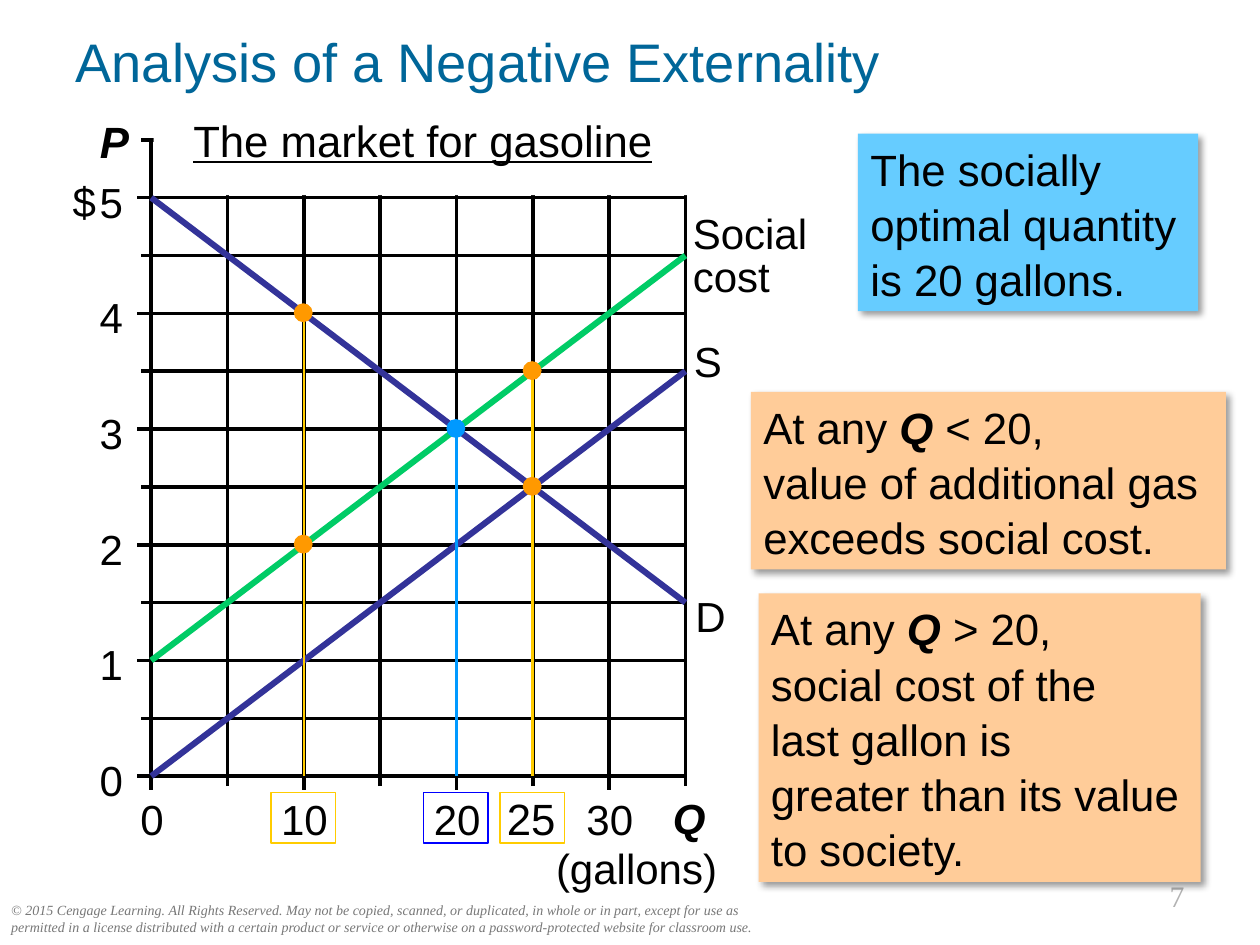
from pptx import Presentation
from pptx.dml.color import RGBColor
from pptx.enum.shapes import MSO_CONNECTOR, MSO_SHAPE
from pptx.enum.text import MSO_ANCHOR, MSO_AUTO_SIZE, PP_ALIGN
from pptx.oxml import parse_xml
from pptx.oxml.ns import nsdecls
from pptx.util import Inches, Pt

LEFT, CENTER, RIGHT = PP_ALIGN.LEFT, PP_ALIGN.CENTER, PP_ALIGN.RIGHT
TOP, MIDDLE = MSO_ANCHOR.TOP, MSO_ANCHOR.MIDDLE
RECT, OVAL = MSO_SHAPE.RECTANGLE, MSO_SHAPE.OVAL
STRAIGHT = MSO_CONNECTOR.STRAIGHT
NO_FIT = MSO_AUTO_SIZE.NONE

COLORS = {
    "black": "000000", "white": "FFFFFF", "title": "006699",
    "footer": "777777", "number": "B2B2B2", "curve": "333399",
    "social": "00CC66", "sky": "66CCFF", "peach": "FFCC99",
    "blue": "0099FF", "frame": "0000FF", "gold": "FFCC00", "orange": "FF9900",
}
SHADOW = (
    f'<a:effectLst {nsdecls("a")}><a:outerShdw blurRad="50800" dist="38100" '
    'dir="2700000" algn="tl" rotWithShape="0"><a:srgbClr val="000000">'
    '<a:alpha val="40000"/></a:srgbClr></a:outerShdw></a:effectLst>'
)
X0, Y0, X_END, Y_END = 1.2, 6.16, 5.44, 1.11
Q_MAX, P_MAX = 35, 5.5


def x_at(q):
    return X0 + (X_END - X0) * q / Q_MAX


def y_at(price):
    return Y0 - (Y0 - Y_END) * price / P_MAX


class SlideBuilder:
    font = "Arial"

    def __init__(self, prs):
        self.s = prs.slides.add_slide(prs.slide_layouts[5])

    def color(self, name):
        return RGBColor.from_string(COLORS[name])

    def fill_text(self, tf, paras, size=24, color="black", align=LEFT,
                  anchor=TOP, spacing=None, font=None, wrap=True, inset=None,
                  italic=None, underline=None):
        tf.word_wrap = wrap
        tf.auto_size = NO_FIT
        tf.vertical_anchor = anchor
        if inset is not None:
            tf.margin_left = tf.margin_right = Inches(inset)
            tf.margin_top = tf.margin_bottom = Inches(inset)
        for i, runs in enumerate(paras):
            p = tf.add_paragraph() if i else tf.paragraphs[0]
            p.alignment = align
            if spacing:
                p.line_spacing = spacing
            p.font.name = font or self.font
            p.font.size = Pt(size)
            p.font.color.rgb = self.color(color)
            p.font.italic = italic
            p.font.underline = underline
            for item in runs:
                text, strong = item if isinstance(item, tuple) else (item, False)
                for j, piece in enumerate(text.split("\n")):
                    if j:
                        p.add_line_break()
                    if piece:
                        r = p.add_run()
                        r.text = piece
                        if strong:
                            r.font.bold = r.font.italic = True

    def title(self, text, box):
        sp = self.s.shapes.title
        sp.left, sp.top, sp.width, sp.height = map(Inches, box)
        self.fill_text(sp.text_frame, [[text]], 31, "title", anchor=MIDDLE)

    def text(self, box, *paras, **style):
        sp = self.s.shapes.add_textbox(*map(Inches, box))
        self.fill_text(sp.text_frame, paras, **style)

    def shape(self, kind, box, fill=None, line=None, width=0.75):
        sp = self.s.shapes.add_shape(kind, *map(Inches, box))
        sp.shadow.inherit = False
        if fill:
            sp.fill.solid()
            sp.fill.fore_color.rgb = self.color(fill)
        else:
            sp.fill.background()
        if line:
            sp.line.color.rgb = self.color(line)
            sp.line.width = Pt(width)
        else:
            sp.line.fill.background()
        return sp

    def note(self, box, fill, *paras):
        sp = self.shape(RECT, box, fill)
        pr = sp._element.spPr
        pr.remove(pr.effectLst)
        pr.append(parse_xml(SHADOW))
        self.fill_text(sp.text_frame, paras, 25, spacing=1.05)

    def line(self, x1, y1, x2, y2, color="black", width=2):
        c = self.s.shapes.add_connector(STRAIGHT, *map(Inches, (x1, y1, x2, y2)))
        c.line.color.rgb = self.color(color)
        c.line.width = Pt(width)
        c._element.spPr.append(parse_xml(f'<a:effectLst {nsdecls("a")}/>'))

    def curve(self, start, end, color):
        self.line(X0, y_at(start), X_END, y_at(end), color, 3.5)

    def marker(self, q, prices, line, dot, frame):
        x = x_at(q)
        self.line(x, Y0, x, y_at(max(prices)), line, 1.5)
        for price in prices:
            self.shape(OVAL, (x - 0.08, y_at(price) - 0.08, 0.15, 0.15), dot)
        self.shape(RECT, (x - 0.26, 6.29, 0.51, 0.4), line=frame)


def draw_axes(b):
    prices = [n / 2 for n in range(12)]
    quantities = range(0, Q_MAX + 1, 5)
    for price in prices[1:]:
        b.line(X0, y_at(price), X_END, y_at(price), width=0)
    for q in quantities[1:]:
        b.line(x_at(q), Y_END, x_at(q), Y0, width=0)
    b.shape(RECT, (X0, Y_END, X_END - X0, Y0 - Y_END), line="black", width=1)
    b.line(X0, Y_END, X0, Y0)
    b.line(X0, Y0, X_END, Y0)
    for price in prices:
        tick = 0.11 if price % 1 == 0 else 0.08
        b.line(X0 - tick, y_at(price), X0, y_at(price))
    for q in quantities:
        tick = 0.11 if q % 10 == 0 else 0.08
        b.line(x_at(q), Y0 + tick, x_at(q), Y0)
    for price in range(6):
        b.text((0.79, y_at(price) - 0.17, 0.19, 0.4), [str(price)],
               wrap=False, inset=0)
    for q in range(0, 31, 10):
        width = 0.19 * len(str(q))
        b.text((x_at(q) + 0.01 - width / 2, 6.3, width, 0.4), [str(q)],
               wrap=False, inset=0)
    b.text((4.15, 6.24, 1.64, 0.92), [("Q \n", True), "(gallons)"], align=RIGHT)
    b.text((0.65, 0.86, 0.46, 0.52), [("P ", True)], size=25, align=RIGHT)
    b.text((0.46, 1.34, 0.4, 0.5), ["$"], align=RIGHT)


def main():
    prs = Presentation()
    prs.slide_width, prs.slide_height = Inches(10), Inches(7.5)
    b = SlideBuilder(prs)
    b.title("Analysis of a Negative Externality", (0.5, 0.13, 9, 0.71))
    b.text((-0.01, 7.11, 6.18, 0.37),
           ["© 2015 Cengage Learning. All Rights Reserved. May not be copied, "
            "scanned, or duplicated, in whole or in part, except for use as "
            "permitted in a license distributed with a certain product or "
            "service or otherwise on a password-protected website for "
            "classroom use."],
           size=8, color="footer", font="Times New Roman", italic=True)
    b.text((8.25, 6.92, 1.25, 0.39), ["7"], size=17, color="number",
           align=RIGHT, font="Times New Roman")

    draw_axes(b)
    heading = b.shape(RECT, (1.22, 0.85, 4.27, 0.7), "white")
    b.fill_text(heading.text_frame, [["The market for gasoline"]], 25,
                align=CENTER, underline=True)

    b.curve(5, 1.5, "curve")
    b.curve(1, 4.5, "social")
    b.curve(0, 3.5, "curve")
    b.text((5.42, 4.64, 0.45, 0.5), ["D"])
    b.text((5.41, 2.61, 0.43, 0.5), ["S"])
    b.text((5.4, 1.66, 1.21, 0.8), ["Social \ncost"], spacing=0.85)

    b.note((6.81, 1.06, 2.7, 1.41), "sky",
           ["The socially optimal quantity is 20 gallons."])
    b.marker(20, [3], "blue", "blue", "frame")
    b.note((5.96, 3.11, 3.77, 1.41), "peach",
           ["At any ", ("Q", True), " < 20,"],
           ["value of additional gas exceeds social cost."])
    b.note((6.02, 4.71, 3.51, 2.29), "peach",
           ["At any ", ("Q", True), " > 20,"],
           ["social cost of the \nlast gallon is\n"
            "greater than its value to society."])
    b.marker(10, [4, 2], "gold", "orange", "gold")
    b.text((3.9, 6.28, 0.63, 0.42), ["25"], size=25, align=CENTER, inset=0)
    b.marker(25, [3.5, 2.5], "gold", "orange", "gold")
    prs.save("out.pptx")


if __name__ == "__main__":
    main()
